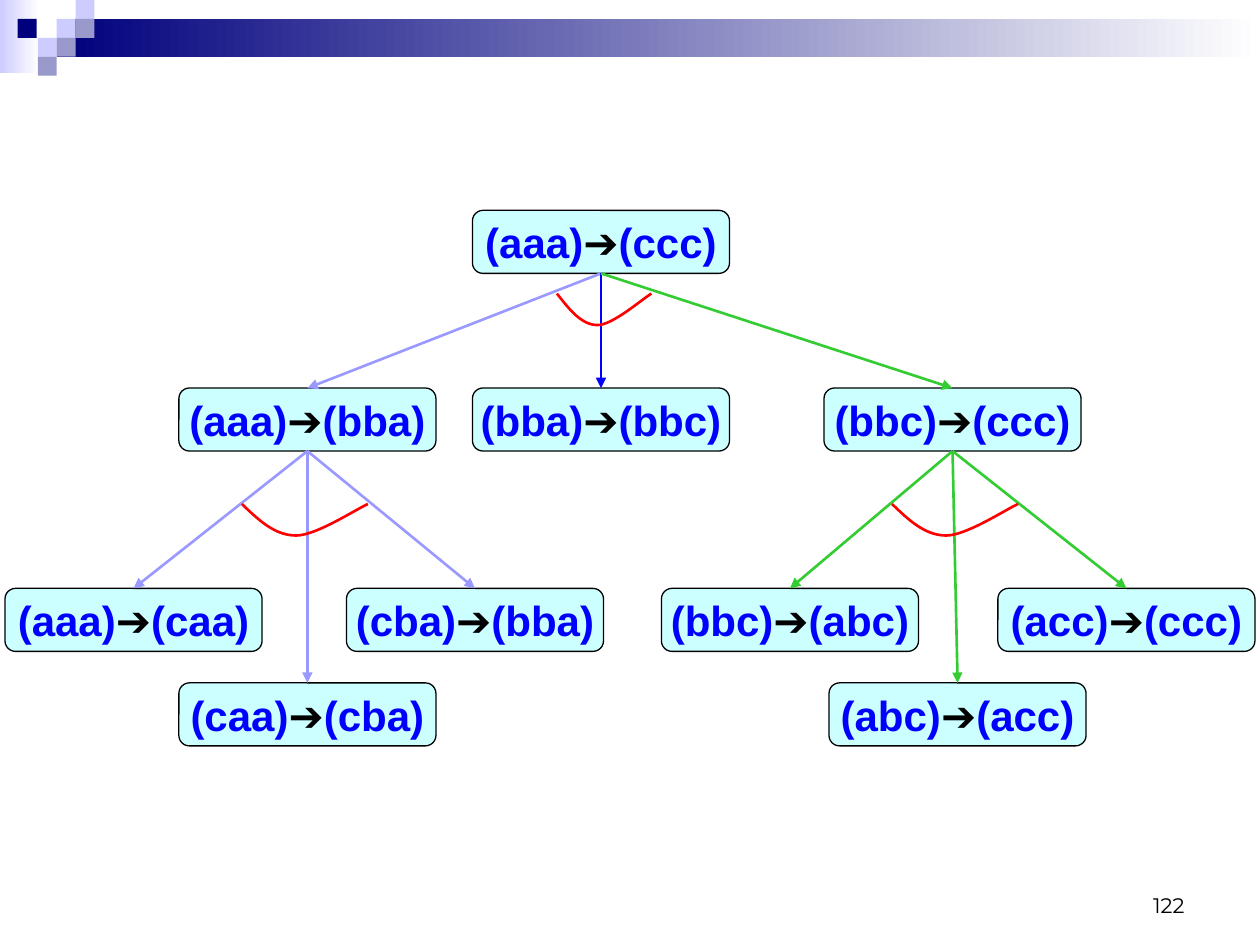
from pptx import Presentation
from pptx import util as u
from pptx.dml import color
from pptx.enum import shapes, text
from pptx.oxml import ns
from lxml import etree

BLACK = color.RGBColor(0x00, 0x00, 0x00)
WHITE = color.RGBColor(0xFF, 0xFF, 0xFF)
NAVY = color.RGBColor(0x00, 0x00, 0x7D)
LAVENDER = color.RGBColor(0xCC, 0xCC, 0xFF)
SLATE = color.RGBColor(0x99, 0x99, 0xCC)
CYAN = color.RGBColor(0xCC, 0xFF, 0xFF)
BLUE = color.RGBColor(0x00, 0x00, 0xFF)
PERIWINKLE = color.RGBColor(0x99, 0x99, 0xFF)
GREEN = color.RGBColor(0x33, 0xCC, 0x33)
RED = color.RGBColor(0xFF, 0x00, 0x00)

NODE_WIDTH, NODE_HEIGHT = 2.04, 0.5
TOP_SITE, BOTTOM_SITE = 0, 2
SQUARE = 0.15

BANDS = [
    (0, 0, 0.31, 0.58, LAVENDER),
    (0.45, 0.15, 9.55, 0.3, NAVY),
]
SQUARES = [
    (0.45, 0.15, LAVENDER),
    (0.6, 0, LAVENDER),
    (0.6, 0.15, SLATE),
    (0.3, 0.3, LAVENDER),
    (0.14, 0.15, NAVY),
    (0.45, 0.3, SLATE),
    (0.3, 0.45, SLATE),
]
NODES = {
    "root": (3.75, 1.67, "(aaa)", "(ccc)", None, None),
    "left": (1.42, 3.08, "(aaa)", "(bba)", "root", PERIWINKLE),
    "middle": (3.75, 3.08, "(bba)", "(bbc)", "root", BLUE),
    "right": (6.54, 3.08, "(bbc)", "(ccc)", "root", GREEN),
    "left first": (0.04, 4.67, "(aaa)", "(caa)", "left", PERIWINKLE),
    "left second": (1.42, 5.42, "(caa)", "(cba)", "left", PERIWINKLE),
    "left third": (2.75, 4.67, "(cba)", "(bba)", "left", PERIWINKLE),
    "right first": (5.25, 4.67, "(bbc)", "(abc)", "right", GREEN),
    "right second": (6.58, 5.42, "(abc)", "(acc)", "right", GREEN),
    "right third": (7.92, 4.67, "(acc)", "(ccc)", "right", GREEN),
}
ARCS = [(4.42, 2.33, 0.75), (1.92, 4, 1), (7.08, 4, 1)]
ARC_HEIGHT = 0.25
ARC_CONTROLS = [(0.13, 0.5), (0.26, 1), (0.43, 1), (0.59, 1), (0.9, 0.18), (1, 0)]


def apply(target, values):
    for name, value in values.items():
        setattr(target, name, value)


def add_span(para, words, font, tint):
    span = para.add_run()
    span.text = words
    apply(span.font, font)
    span.font.color.rgb = tint


def add_block(page, kind, left, top, width, height):
    block = page.shapes.add_shape(kind, *map(u.Inches, (left, top, width, height)))
    block.shadow.inherit = False
    return block


def add_band(page, left, top, width, height, tint):
    band = add_block(page, shapes.MSO_SHAPE.RECTANGLE, left, top, width, height)
    band.line.fill.background()
    band.fill.gradient()
    band.fill.gradient_angle = 0
    for stop, shade in zip(band.fill.gradient_stops, (tint, WHITE)):
        stop.color.rgb = shade


def add_square(page, left, top, tint):
    square = add_block(page, shapes.MSO_SHAPE.RECTANGLE, left, top, SQUARE, SQUARE)
    square.line.fill.background()
    square.fill.solid()
    square.fill.fore_color.rgb = tint


def add_node(page, left, top, start, goal):
    node = add_block(page, shapes.MSO_SHAPE.ROUNDED_RECTANGLE,
                     left, top, NODE_WIDTH, NODE_HEIGHT)
    node.fill.solid()
    node.fill.fore_color.rgb = CYAN
    node.line.color.rgb = BLACK
    node.line.width = u.Pt(0.75)
    apply(node.text_frame, {"word_wrap": False, "vertical_anchor": text.MSO_ANCHOR.MIDDLE})
    para = node.text_frame.paragraphs[0]
    para.alignment = text.PP_ALIGN.CENTER
    font = {"name": "Arial", "size": u.Pt(24), "bold": True}
    for words, tint in ((start, BLUE), ("➔", BLACK), (goal, BLUE)):
        add_span(para, words, font, tint)
    return node


def add_arrow(page, parent, child, tint):
    arrow = page.shapes.add_connector(shapes.MSO_CONNECTOR.STRAIGHT, 0, 0, 0, 0)
    arrow.begin_connect(parent, BOTTOM_SITE)
    arrow.end_connect(child, TOP_SITE)
    arrow.line.color.rgb = tint
    arrow.line.width = u.Pt(1.5)
    etree.SubElement(arrow.line._get_or_add_ln(), ns.qn("a:tailEnd"), type="triangle")
    etree.SubElement(arrow._element.spPr, ns.qn("a:effectLst"))


def add_arc(page, left, top, width):
    points = [(u.Inches(left + x * width), u.Inches(top + y * ARC_HEIGHT))
              for x, y in ARC_CONTROLS]
    builder = page.shapes.build_freeform(u.Inches(left), u.Inches(top))
    builder.add_line_segments(points, close=False)
    arc = builder.convert_to_shape()
    segments = list(arc._element.iter(ns.qn("a:lnTo")))
    outline = segments[0].getparent()
    for first in range(0, len(segments), 3):
        curve = etree.SubElement(outline, ns.qn("a:cubicBezTo"))
        for segment in segments[first:first + 3]:
            curve.append(segment[0])
            outline.remove(segment)
    arc.shadow.inherit = False
    arc.fill.background()
    arc.line.color.rgb = RED
    arc.line.width = u.Pt(1.5)


def add_page_number(page, number):
    box = page.shapes.add_textbox(*map(u.Inches, (7.17, 6.83, 2.33, 0.5)))
    apply(box.text_frame, {"word_wrap": True, "vertical_anchor": text.MSO_ANCHOR.BOTTOM})
    para = box.text_frame.paragraphs[0]
    para.alignment = text.PP_ALIGN.RIGHT
    add_span(para, number, {"name": "Montserrat", "size": u.Pt(12)}, BLACK)


def main():
    deck = Presentation()
    apply(deck, {"slide_width": u.Inches(10), "slide_height": u.Inches(7.5)})
    page = deck.slides.add_slide(deck.slide_layouts[6])
    for band in BANDS:
        add_band(page, *band)
    for square in SQUARES:
        add_square(page, *square)
    nodes = {}
    for name, (left, top, start, goal, parent, tint) in NODES.items():
        nodes[name] = add_node(page, left, top, start, goal)
        if parent:
            add_arrow(page, nodes[parent], nodes[name], tint)
    for arc in ARCS:
        add_arc(page, *arc)
    add_page_number(page, "122")
    deck.save("out.pptx")


if __name__ == "__main__":
    main()
